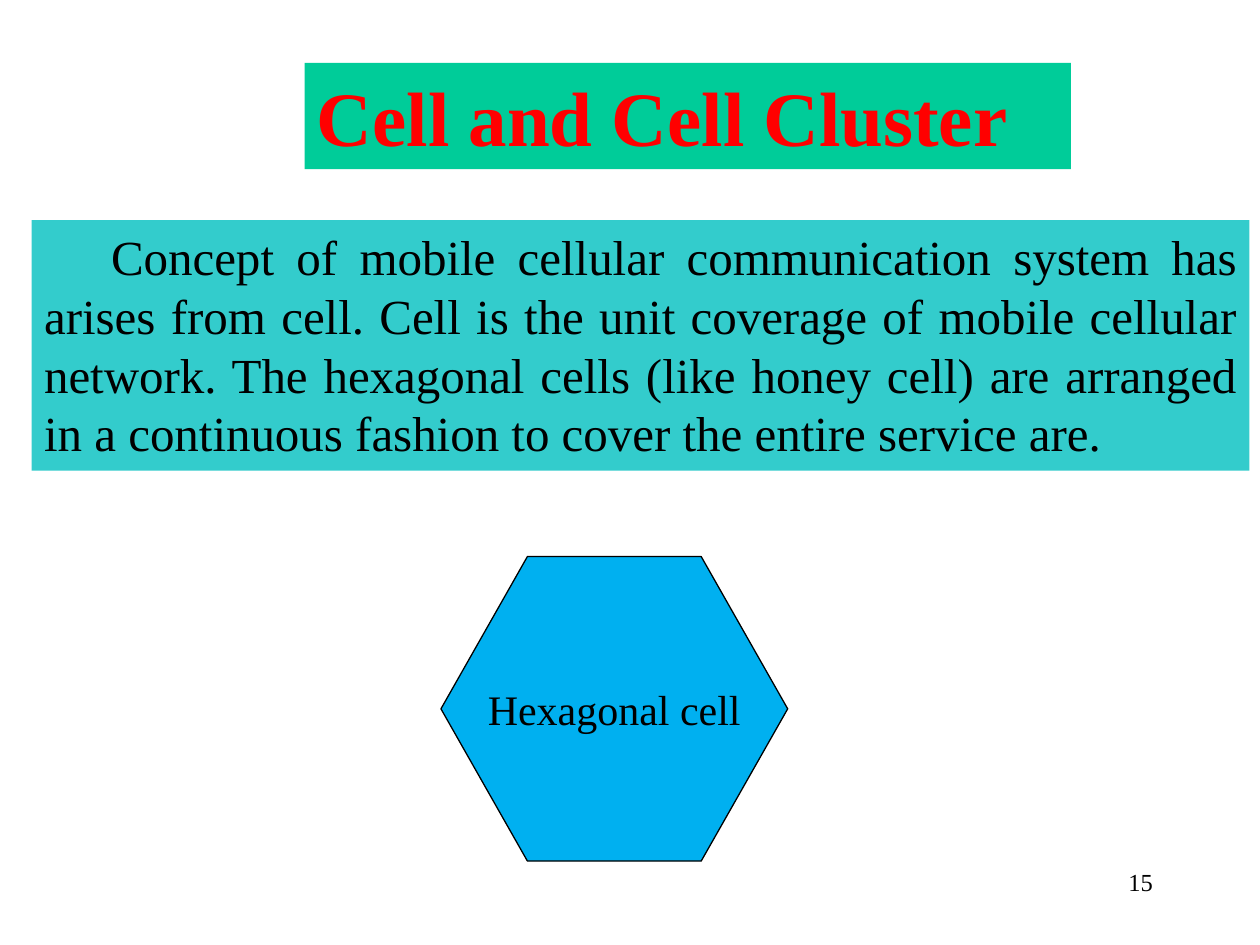
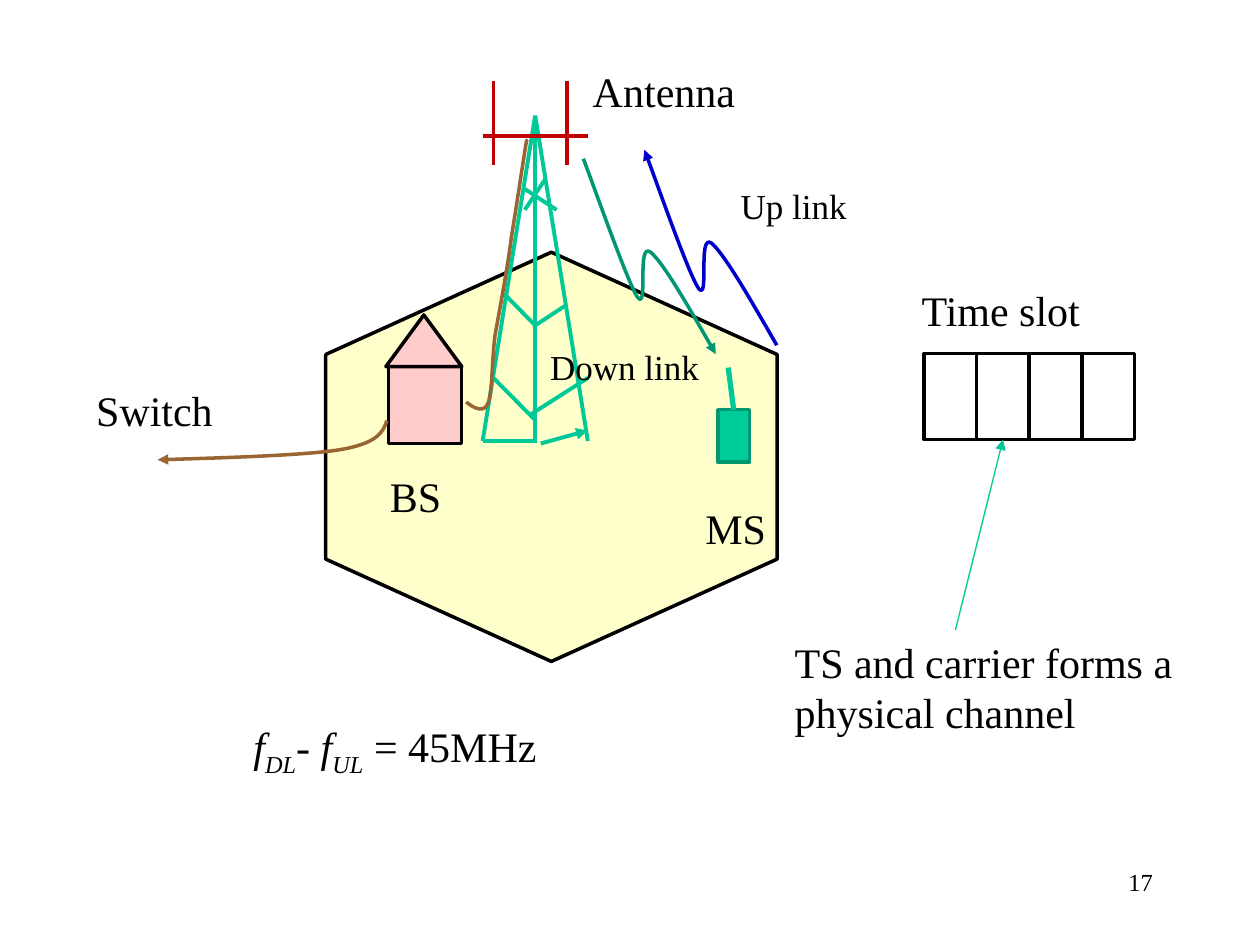
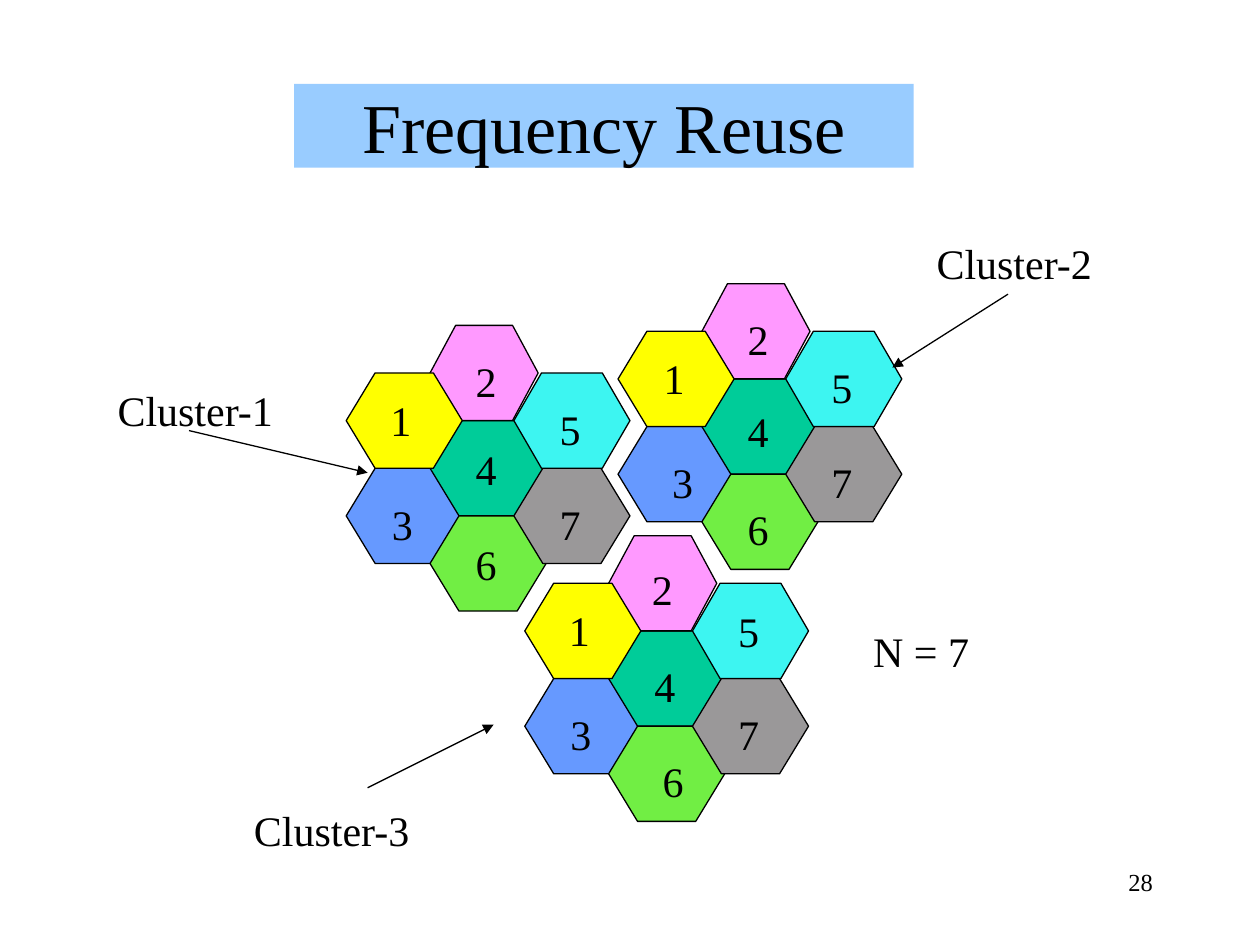
from typing import NamedTuple

from lxml import etree
from pptx import Presentation
from pptx.dml.color import RGBColor
from pptx.enum import shapes, text
from pptx.oxml import ns
from pptx.util import Cm, Pt

FONT = "Times New Roman"
COLORS = {
    "black": "000000", "white": "FFFFFF", "red": "FF0000", "crimson": "C00000",
    "teal": "33CCCC", "green": "00CC99", "tower": "00C896", "dark_green": "009771",
    "sky": "00B0F0", "pale_blue": "99CCFF", "cream": "FFFFCC", "rose": "FFCCCC",
    "blue": "0000CC", "brown": "996633", "yellow": "FFFF00", "pink": "FF99FF",
    "cornflower": "6699FF", "aqua": "3DF5F1", "lime": "71EE44", "gray": "9A9899",
}
SHAPE = shapes.MSO_SHAPE
ALIGN = text.PP_ALIGN
ANCHOR = text.MSO_ANCHOR


# All positions and sizes below are in centimetres
class Box(NamedTuple):
    left: float
    top: float
    width: float
    height: float
    fill: str
    line: str | None = None
    weight: float = 2
    kind: SHAPE = SHAPE.RECTANGLE
    rotation: float = 0
    adjust: float | None = None


class Label(NamedTuple):
    left: float
    top: float
    width: float
    text: str
    size: float = 24
    height: float = 1.27
    wrap: bool = True


class Line(NamedTuple):
    x1: float
    y1: float
    x2: float
    y2: float
    color: str = "tower"
    weight: float = 2.25
    arrow: bool = False


class Curve(NamedTuple):
    points: list  # start, then two control points and an end per piece
    color: str
    arrow: bool = False


class Cell(NamedTuple):
    number: int
    column: int
    row: int  # in half cells
    fill: str
    adjust: float
    digit_drop: float
    width: float = 2.34


class Cluster(NamedTuple):
    left: float
    top: float
    nudges: dict  # digit shifts by cell number


# Shared drawing functions
def rgb(name: str) -> RGBColor:
    return RGBColor.from_string(COLORS[name])


def write(sp, content: str, *, size: float = 24, color: str = "black", bold: bool = False,
          italic: bool = False, baseline: int = 0, align=ALIGN.LEFT, anchor=ANCHOR.TOP,
          wrap: bool = True, indent: float = 0) -> None:
    """Append a run to the shape's paragraph and set the text format."""
    tf = sp.text_frame
    tf.word_wrap = wrap
    tf.vertical_anchor = anchor
    p = tf.paragraphs[0]
    p.alignment = align
    if indent:
        p._p.get_or_add_pPr().set("indent", str(Cm(indent)))
    r = p.add_run()
    r.text = content
    r.font.name, r.font.size = FONT, Pt(size)
    r.font.bold, r.font.italic = bold, italic
    r.font.color.rgb = rgb(color)
    if baseline:
        r.font._element.set("baseline", str(baseline * 1000))


def set_line(sp, color: str, weight: float, arrow: bool = False) -> None:
    sp.line.color.rgb = rgb(color)
    sp.line.width = Pt(weight)
    if arrow:
        ln = sp.line._get_or_add_ln()
        etree.SubElement(ln, ns.qn("a:tailEnd"), type="triangle")


def draw_box(s, box: Box):
    sp = s.shapes.add_shape(box.kind, Cm(box.left), Cm(box.top), Cm(box.width), Cm(box.height))
    sp.shadow.inherit = False
    sp.rotation = box.rotation
    if box.adjust is not None:
        sp.adjustments[0] = box.adjust
    sp.fill.solid()
    sp.fill.fore_color.rgb = rgb(box.fill)
    if box.line:
        set_line(sp, box.line, box.weight)
    else:
        sp.line.fill.background()
    return sp


def draw_label(s, label: Label, **style):
    sp = s.shapes.add_textbox(Cm(label.left), Cm(label.top), Cm(label.width), Cm(label.height))
    write(sp, label.text, size=label.size, wrap=label.wrap, **style)
    return sp


def draw_line(s, line: Line) -> None:
    sp = s.shapes.add_connector(shapes.MSO_CONNECTOR.STRAIGHT, Cm(line.x1), Cm(line.y1),
                                Cm(line.x2), Cm(line.y2))
    set_line(sp, line.color, line.weight, line.arrow)
    etree.SubElement(sp._element.spPr, ns.qn("a:effectLst"))


def draw_curve(s, curve: Curve) -> None:
    start, *rest = [(Cm(x), Cm(y)) for x, y in curve.points]
    builder = s.shapes.build_freeform(*start)
    builder.add_line_segments(rest, close=False)
    sp = builder.convert_to_shape()
    # Join every three straight pieces into one Bezier piece
    pieces = list(sp._element.iter(ns.qn("a:lnTo")))
    outline = pieces[0].getparent()
    for i in range(0, len(pieces), 3):
        bezier = etree.SubElement(outline, ns.qn("a:cubicBezTo"))
        for piece in pieces[i:i + 3]:
            bezier.append(piece[0])
            outline.remove(piece)
    sp.shadow.inherit = False
    sp.fill.background()
    set_line(sp, curve.color, 2, curve.arrow)


def new_slide(prs, number: int):
    s = prs.slides.add_slide(prs.slide_layouts[6])
    draw_label(s, Label(18.21, 17.35, 5.28, str(number), 14), align=ALIGN.RIGHT)
    return s


# Slide 1: the cell
def cell_slide(prs) -> None:
    s = new_slide(prs, 15)
    write(draw_box(s, Box(0.64, 4.44, 24.55, 5.05, "teal")),
          "Concept of mobile cellular communication system has arises from cell. "
          "Cell is the unit coverage of mobile cellular network. The hexagonal cells "
          "(like honey cell) are arranged in a continuous fashion to cover the entire "
          "service are.", size=28, align=ALIGN.JUSTIFY, indent=1.35)
    write(draw_box(s, Box(6.14, 1.27, 15.45, 2.14, "green")),
          "Cell and Cell Cluster", size=44, color="red", bold=True)
    write(draw_box(s, Box(8.89, 11.22, 6.99, 6.14, "sky", "black", 0.75,
                          SHAPE.HEXAGON, adjust=0.284)),
          "Hexagonal cell", align=ALIGN.CENTER, anchor=ANCHOR.MIDDLE, wrap=False)


# Slide 2: base station, mobile station and links
TOWER = [
    Line(9.73, 8.89, 10.79, 2.33), Line(10.79, 2.33, 11.85, 8.89),
    Line(10.58, 3.81, 11.22, 4.23), Line(10.16, 5.92, 10.79, 6.56),
    Line(10.79, 6.56, 11.43, 6.14), Line(11, 3.6, 10.58, 4.23),
    Line(9.95, 7.62, 10.79, 8.47), Line(10.69, 8.36, 11.85, 7.62),
    Line(10.79, 2.33, 10.79, 8.94), Line(9.73, 8.89, 10.79, 8.89),
    Line(10.9, 8.94, 11.85, 8.68, arrow=True),
]
ANTENNA = [
    Line(9.73, 2.75, 11.85, 2.75, "crimson"),
    Line(9.95, 1.64, 9.95, 3.32, "crimson"),
    Line(11.43, 1.64, 11.43, 3.32, "crimson"),
]
WAVE = [(14.43, 7.14), (13.89, 6.2), (13.36, 5.28), (13.11, 5.08), (12.83, 4.88),
        (13.08, 6.3), (12.85, 5.99), (12.65, 5.69), (11.94, 3.66), (11.76, 3.2)]
LINKS = [
    Curve(WAVE[::-1], "dark_green", True),
    Curve([(x + 1.23, y - 0.18) for x, y in WAVE], "blue", True),
]
CABLES = [
    Curve([(10.62, 2.84), (10.62, 2.82), (10.62, 2.79), (10.57, 3.12), (10.52, 3.43),
           (10.41, 4.17), (10.31, 4.78), (10.24, 5.36), (10.08, 6.2), (9.98, 6.76),
           (9.91, 7.32), (9.93, 7.95), (9.83, 8.15), (9.73, 8.38), (9.42, 8.13),
           (9.4, 8.1)], "brown"),
    Curve([(7.8, 8.48), (7.72, 8.71), (7.62, 8.94), (6.83, 9.07), (6.07, 9.19),
           (3.76, 9.25), (3.18, 9.27)], "brown", True),
]
STATION_HOUSE = [
    Box(7.83, 7.39, 1.48, 1.55, "rose", "black"),
    Box(7.78, 6.35, 1.53, 1.04, "rose", "black", kind=SHAPE.ISOSCELES_TRIANGLE),
]
LINK_LABELS = [
    Label(14.68, 3.6, 3.94, "Up link", 20, 1.12),
    Label(10.84, 6.84, 3.94, "Down link", 20, 1.12),
]
STATION_LABELS = [
    Label(7.61, 9.37, 1.7, "BS"),
    Label(13.97, 10.01, 2.11, "MS"),
    Label(11.7, 1.19, 3.4, "Antenna", wrap=False),
    Label(1.69, 7.62, 3.18, "Switch"),
    Label(18.33, 5.61, 3.89, "Time slot"),
    Label(15.77, 12.7, 9.63, "TS and carrier forms a physical channel", height=2.31),
]
SLOT_WIDTH = 1.06


def link_slide(prs) -> None:
    s = new_slide(prs, 17)
    draw_box(s, Box(6.99, 4.66, 8.25, 9.1, "cream", "black",
                    kind=SHAPE.HEXAGON, rotation=90, adjust=0.25))
    for line in TOWER + ANTENNA:
        draw_line(s, line)

    # Mobile station
    draw_box(s, Box(14.47, 8.26, 0.64, 1.06, "green", "dark_green"))
    draw_line(s, Line(14.79, 8.26, 14.68, 7.41, weight=3))

    for curve in LINKS:
        draw_curve(s, curve)
    for label in LINK_LABELS:
        draw_label(s, label)
    for box in STATION_HOUSE:
        draw_box(s, box)
    for curve in CABLES:
        draw_curve(s, curve)
    for label in STATION_LABELS:
        draw_label(s, label)

    # Duplex distance
    formula = draw_label(s, Label(4.86, 14.4, 11.79, "f"), italic=True)
    write(formula, "DL", italic=True, baseline=-25)
    write(formula, "- f", italic=True)
    write(formula, "UL", italic=True, baseline=-25)
    write(formula, " = 45MHz")

    # Time slots
    for i in range(4):
        draw_box(s, Box(18.63 + i * SLOT_WIDTH, 7.13, SLOT_WIDTH, 1.73, "white", "black"))
    draw_line(s, Line(19.26, 12.7, 20.22, 8.86, weight=0.75, arrow=True))


# Slide 3: clusters of seven cells
CELL_HEIGHT = 1.92
COLUMN_PITCH = 1.69
CELLS = [
    Cell(3, 0, 3, "cornflower", 0.304, 0.48),
    Cell(4, 1, 2, "green", 0.304, 0.33),
    Cell(6, 1, 4, "lime", 0.304, 0.33),
    Cell(7, 2, 3, "gray", 0.304, 0.48),
    Cell(5, 2, 1, "aqua", 0.29, 0.48),
    Cell(2, 1, 0, "pink", 0.269, 0.48, 2.18),
    Cell(1, 0, 1, "yellow", 0.303, 0.3),
]
CLUSTERS = [
    Cluster(12.46, 5.72, {3: (0.17, 0), 4: (0, 0.08), 6: (0, 0.13)}),
    Cluster(6.98, 6.56, {1: (-0.03, 0)}),
    Cluster(10.58, 10.8, {1: (-0.03, 0), 2: (-0.05, -0.05), 4: (0, 0.15),
                          5: (0, -0.15), 6: (0.17, 0.13)}),
]
CLUSTER_LABELS = [
    Label(17.35, 12.49, 2.44, "N = 7", wrap=False),
    Label(2.12, 7.62, 4.01, "Cluster-1"),
    Label(18.63, 4.66, 4.01, "Cluster-2"),
    Label(4.87, 16.09, 4.01, "Cluster-3"),
]
POINTERS = [
    Line(3.81, 8.68, 7.41, 9.53, "black", 0.75, True),
    Line(20.32, 5.93, 17.99, 7.41, "black", 0.75, True),
    Line(7.41, 15.88, 9.95, 14.61, "black", 0.75, True),
]


def draw_cluster(s, cluster: Cluster) -> None:
    digits = []
    for cell in CELLS:
        left = cluster.left + cell.column * COLUMN_PITCH
        top = cluster.top + cell.row * CELL_HEIGHT / 2
        draw_box(s, Box(left, top, cell.width, CELL_HEIGHT, cell.fill, "black", 0.75,
                        SHAPE.HEXAGON, adjust=cell.adjust))
        dx, dy = cluster.nudges.get(cell.number, (0, 0))
        digits.append(Label(left + 0.67 + dx, top + cell.digit_drop + dy, 0.94,
                            str(cell.number), wrap=False))
    for digit in digits:
        draw_label(s, digit)


def reuse_slide(prs) -> None:
    s = new_slide(prs, 28)
    write(draw_box(s, Box(5.93, 1.69, 12.49, 1.69, "pale_blue")), "Frequency Reuse",
          size=40, align=ALIGN.CENTER, anchor=ANCHOR.MIDDLE)
    for cluster in CLUSTERS:
        draw_cluster(s, cluster)
    for label in CLUSTER_LABELS:
        draw_label(s, label)
    for pointer in POINTERS:
        draw_line(s, pointer)


def main() -> None:
    prs = Presentation()
    prs.slide_width, prs.slide_height = Cm(25.4), Cm(19.05)
    cell_slide(prs)
    link_slide(prs)
    reuse_slide(prs)
    prs.save("out.pptx")


if __name__ == "__main__":
    main()
